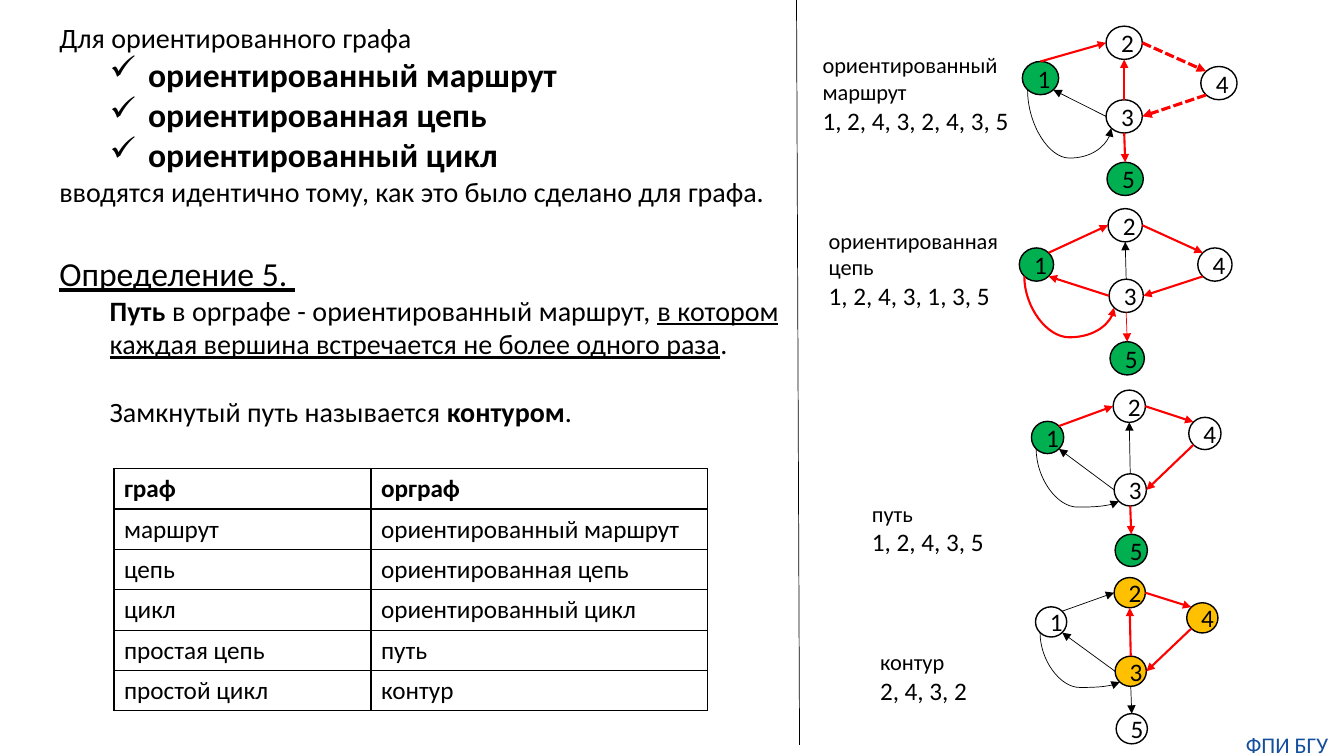
from dataclasses import dataclass, field
from typing import NamedTuple

from pptx import Presentation
from pptx import util as u
from pptx.dml.color import RGBColor
from pptx.enum import dml, shapes, text
from pptx.oxml import ns, xmlchemy

PX = 9144  # EMU per px, 100 px to the inch
FONT = "Calibri"
BLACK = RGBColor(0x00, 0x00, 0x00)
RED = RGBColor(0xFF, 0x00, 0x00)
GREEN = RGBColor(0x00, 0xB0, 0x50)
AMBER = RGBColor(0xFF, 0xC0, 0x00)
BLUE = RGBColor(0x14, 0x4E, 0x9D)
LEFT, CENTER, JUSTIFY = (text.PP_ALIGN.LEFT, text.PP_ALIGN.CENTER,
                         text.PP_ALIGN.JUSTIFY)


class Run(NamedTuple):
    text: str
    size: int
    fmt: dict = {}
    color: RGBColor = BLACK


class Para(NamedTuple):
    runs: list[Run]
    align: text.PP_ALIGN = LEFT
    level: int = 0
    margin: int = 0
    indent: int = 0
    bullet: str = ""
    before: int = 0


class Stroke(NamedTuple):
    color: RGBColor
    width: float
    dash: bool = False


THIN = Stroke(BLACK, 0.5)
THIN_RED = Stroke(RED, 0.5)
BOLD = Stroke(RED, 1.5)
DASHED = Stroke(RED, 2.25, True)


@dataclass
class Graph:
    size: tuple[int, int]
    nodes: dict[str, tuple[int, int]]  # left, top
    fills: dict[str, RGBColor]
    strokes: dict[str, Stroke]
    bend: float
    sites: dict[str, tuple] = field(default_factory=dict)


# Points on a node's outline, as fractions of its radii
D = 0.71
TOP, BOTTOM, WEST, EAST = (0, -1), (0, 1), (-1, 0), (1, 0)
NW, NE, SW, SE = (-D, -D), (D, -D), (-D, D), (D, D)
EDGES = {"32": (TOP, BOTTOM), "35": (BOTTOM, TOP), "31": (WEST, SE),
         "43": (SW, EAST), "12": (NE, WEST), "24": (EAST, NW)}
ENDS = {"1": GREEN, "5": GREEN}

GRAPHS = [
    Graph((36, 33), {"1": (1014, 61), "3": (1097, 99), "4": (1191, 66),
                     "5": (1098, 161), "2": (1097, 26)}, ENDS,
          {"32": BOLD, "35": BOLD, "43": DASHED, "12": BOLD, "24": DASHED},
          1.78, {"12": (TOP, WEST)}),
    Graph((34, 33), {"1": (1011, 246), "3": (1100, 277), "4": (1188, 246),
                     "5": (1101, 339), "2": (1099, 207)}, ENDS,
          {"35": THIN_RED, "31": BOLD, "43": BOLD, "12": BOLD, "24": BOLD,
           "13": BOLD}, 1.95),
    Graph((32, 32), {"1": (1023, 418), "3": (1105, 470), "4": (1179, 414),
                     "5": (1106, 530), "2": (1104, 387)}, ENDS,
          {"35": BOLD, "43": BOLD, "12": BOLD, "24": BOLD}, 1.11),
    Graph((31, 30), {"1": (1027, 602), "3": (1106, 651), "4": (1177, 598),
                     "5": (1107, 708), "2": (1105, 573)},
          {"2": AMBER, "3": AMBER, "4": AMBER},
          {"32": BOLD, "43": BOLD, "24": BOLD}, 1.11),
]

LABELS = [  # box, name, walk, wrap
    ((806, 46, 217, 94), "ориентированный маршрут", "1, 2, 4, 3, 2, 4, 3, 5", True),
    ((812, 220, 198, 94), "ориентированная цепь", "1, 2, 4, 3, 1, 3, 5", True),
    ((855, 491, 133, 67), "путь", "1, 2, 4, 3, 5", False),
    ((863, 638, 108, 67), "контур", "2, 4, 3, 2", False),
]

B, U = {"bold": True}, {"underline": True}
KINDS = ["ориентированный маршрут", "ориентированная цепь", "ориентированный цикл"]
INTRO = [
    Para([Run("Для ориентированного графа", 20)]),
    *(Para([Run(kind, 24, B)], LEFT, 1, 88, -38, "✓") for kind in KINDS),
    Para([Run("вводятся идентично тому, как это было сделано для графа.", 20)], JUSTIFY),
]
DEFINITION = [
    Para([Run("Определение 5. ", 24, U)], JUSTIFY),
    Para([Run("Путь", 20, B), Run(" в орграфе - ориентированный маршрут, ", 20),
          Run("в котором каждая вершина встречается не более одного раза", 20, U),
          Run(".", 20)], JUSTIFY, 1, 50),
    Para([Run("Замкнутый путь называется ", 20), Run("контуром", 20, B),
          Run(".", 20)], JUSTIFY, 1, 50, before=24),
]
TERMS = [("граф", "орграф"), *zip(("маршрут", "цепь", "цикл"), KINDS),
         ("простая цепь", "путь"), ("простой цикл", "контур")]


def px(*values: float) -> list[int]:
    return [round(v * PX) for v in values]


def sub(parent, tag: str, **attrs: str):
    el = xmlchemy.OxmlElement(tag)
    for name, value in attrs.items():
        el.set(name, value)
    parent.append(el)
    return el


def write(tf, paras: list[Para]) -> None:
    for i, para in enumerate(paras):
        p = tf.add_paragraph() if i else tf.paragraphs[0]
        p.alignment, p.level = para.align, para.level
        if para.before:
            p.space_before = u.Pt(para.before)
        if para.margin:
            pPr = p._p.get_or_add_pPr()
            pPr.set("marL", str(para.margin * PX))
            pPr.set("indent", str(para.indent * PX))
            if para.bullet:
                sub(pPr, "a:buChar", char=para.bullet)
        for run in para.runs:
            r = p.add_run()
            r.text = run.text
            fmt = {"name": FONT, "size": u.Pt(run.size), **run.fmt}
            for key, value in fmt.items():
                setattr(r.font, key, value)
            r.font.color.rgb = run.color


def add_text(slide, box: tuple, paras: list[Para], wrap: bool = True):
    tf = slide.shapes.add_textbox(*px(*box)).text_frame
    tf.word_wrap = wrap
    tf.auto_size = text.MSO_AUTO_SIZE.SHAPE_TO_FIT_TEXT
    write(tf, paras)
    return tf


def add_line(parent, kind, ends: tuple, stroke: Stroke, arrow: bool = True):
    sp = parent.add_connector(kind, *px(*ends))
    sp.line.color.rgb = stroke.color
    sp.line.width = u.Pt(stroke.width)
    if stroke.dash:
        sp.line.dash_style = dml.MSO_LINE.SQUARE_DOT
    if arrow:
        sub(sp.line._get_or_add_ln(), "a:tailEnd", type="triangle")
    sub(sp._element.spPr, "a:effectLst")
    return sp


def add_graph(slide, graph: Graph) -> None:
    parent = slide.shapes.add_group_shape().shapes
    w, h = graph.size

    def at(node: str, site: tuple) -> tuple[float, float]:
        x, y = graph.nodes[node]
        return x + w / 2 * (1 + site[0]), y + h / 2 * (1 + site[1])

    for name, (x, y) in graph.nodes.items():
        sp = parent.add_shape(shapes.MSO_SHAPE.OVAL, *px(x, y, w, h))
        sp.shadow.inherit = False
        if name in graph.fills:
            sp.fill.solid()
            sp.fill.fore_color.rgb = graph.fills[name]
        else:
            sp.fill.background()
        sp.line.color.rgb, sp.line.width = BLACK, u.Pt(1)
        sp.text_frame.vertical_anchor = text.MSO_ANCHOR.MIDDLE
        write(sp.text_frame, [Para([Run(name, 18)], CENTER)])

    for edge, sites in (EDGES | graph.sites).items():
        ends = at(edge[0], sites[0]) + at(edge[1], sites[1])
        add_line(parent, shapes.MSO_CONNECTOR.STRAIGHT, ends,
                 graph.strokes.get(edge, THIN))

    # Arc from 1 to 3: a mirrored curve turned by 270 degrees about its centre
    (x1, y1), (x2, y2) = at("1", SW), at("3", SW)
    cx, cy, dx, dy = (x1 + x2) / 2, (y1 + y2) / 2, (x2 - x1) / 2, (y2 - y1) / 2
    sp = add_line(parent, shapes.MSO_CONNECTOR.CURVE,
                  (cx + dy, cy - dx, cx - dy, cy + dx), graph.strokes.get("13", THIN))
    spPr = sp._element.spPr
    spPr.find(ns.qn("a:xfrm")).set("rot", str(270 * 60000))
    sub(spPr.find(ns.qn("a:prstGeom")).find(ns.qn("a:avLst")), "a:gd",
        name="adj1", fmla=f"val {round(graph.bend * 100000)}")


def add_terms(slide) -> None:
    tbl = slide.shapes.add_table(len(TERMS), 2, *px(113, 465, 589, 240)).table
    tbl.first_row = tbl.horz_banding = False
    for col, width in zip(tbl.columns, px(255, 334)):
        col.width = width
    for i, row in enumerate(TERMS):
        for j, term in enumerate(row):
            cell = tbl.cell(i, j)
            write(cell.text_frame, [Para([Run(term, 18, {"bold": i == 0})])])
            tcPr = cell._tc.get_or_add_tcPr()
            for side in ("lnL", "lnR", "lnT", "lnB"):
                ln = sub(tcPr, f"a:{side}", w=str(u.Pt(1)))
                sub(sub(ln, "a:solidFill"), "a:srgbClr", val=str(BLACK))
            cell.fill.background()


def main() -> None:
    prs = Presentation()
    prs.slide_width, prs.slide_height = px(1333, 750)
    slide = prs.slides.add_slide(prs.slide_layouts[6])

    # Definitions and the table of terms
    add_text(slide, (49, 15, 733, 199), INTRO)
    add_text(slide, (49, 246, 733, 185), DEFINITION)
    add_terms(slide)

    # Divider and example graphs
    add_line(slide.shapes, shapes.MSO_CONNECTOR.STRAIGHT, (790, 0, 793, 739),
             THIN, arrow=False)
    for box, name, walk, wrap in LABELS:
        add_text(slide, box, [Para([Run(name, 16)]), Para([Run(walk, 18)])], wrap)
    for graph in GRAPHS:
        add_graph(slide, graph)

    # Footer
    tf = add_text(slide, (1220, 725, 113, 27),
                  [Para([Run("ФПИ БГУ", 16, color=BLUE)], CENTER)])
    for side in ("left", "top", "right", "bottom"):
        setattr(tf, f"margin_{side}", 0)
    prs.save("out.pptx")


if __name__ == "__main__":
    main()
